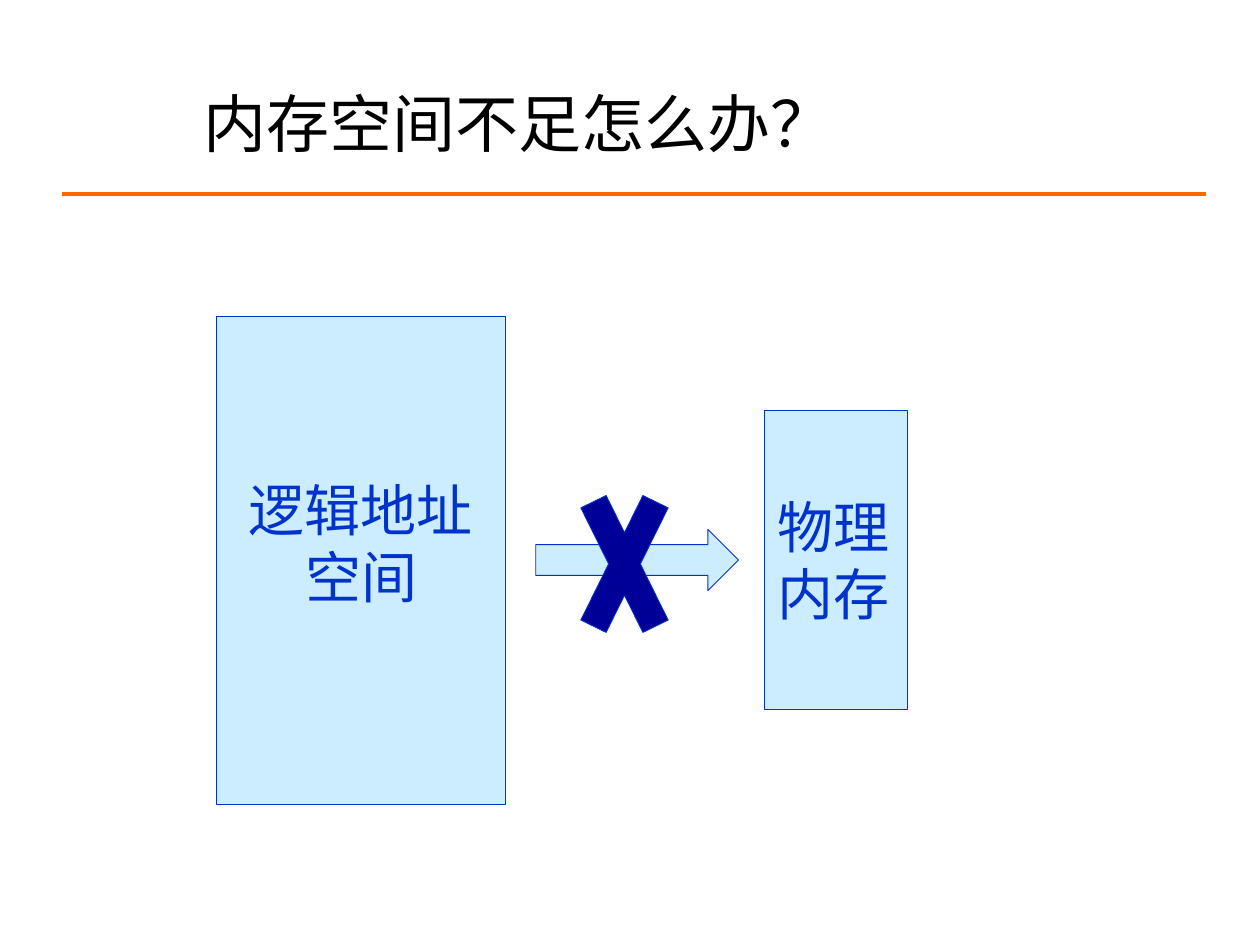
from lxml.etree import SubElement
from pptx import Presentation
from pptx.dml.color import RGBColor
from pptx.enum.shapes import MSO_CONNECTOR as Connector, MSO_SHAPE as Preset
from pptx.enum.text import MSO_ANCHOR as Anchor, PP_ALIGN as Align
from pptx.oxml.ns import qn
from pptx.util import Cm, Pt

BLACK = RGBColor(0x00, 0x00, 0x00)
ORANGE = RGBColor(0xFF, 0x66, 0x00)
BLUE = RGBColor(0x00, 0x33, 0xCC)
NAVY = RGBColor(0x00, 0x00, 0x99)
PALE_BLUE = RGBColor(0xCC, 0xEC, 0xFF)


class SlideBuilder:
    font_name = "Arial"
    outline = Pt(0.5)

    def __init__(self, slide):
        self.slide = slide
        self.shapes = slide.shapes

    def set_text(self, shape, text, size, color, align):
        frame = shape.text_frame
        frame.word_wrap = True
        frame.vertical_anchor = Anchor.MIDDLE
        paragraph = frame.paragraphs[0]
        paragraph.text = text
        paragraph.alignment = align
        paragraph.font.name = self.font_name
        paragraph.font.size = Pt(size)
        paragraph.font.color.rgb = color

    def paint(self, shape, fill):
        shape.shadow.inherit = False
        shape.fill.solid()
        shape.fill.fore_color.rgb = fill
        shape.line.color.rgb = BLUE
        shape.line.width = self.outline

    def title(self, text, left, top, width, height):
        box = self.shapes.add_textbox(Cm(left), Cm(top), Cm(width), Cm(height))
        self.set_text(box, text, 36, BLACK, Align.LEFT)

    def rule(self, left, right, y):
        connector = self.shapes.add_connector(
            Connector.STRAIGHT, Cm(left), Cm(y), Cm(right), Cm(y))
        connector.line.color.rgb = ORANGE
        connector.line.width = Pt(2.25)
        SubElement(connector.element.spPr, qn("a:effectLst"))

    def preset(self, kind, left, top, width, height):
        shape = self.shapes.add_shape(
            kind, Cm(left), Cm(top), Cm(width), Cm(height))
        self.paint(shape, PALE_BLUE)
        return shape

    def memory_block(self, text, left, top, width, height, align, lift=0):
        block = self.preset(Preset.RECTANGLE, left, top, width, height)
        self.set_text(block, text, 32, BLUE, align)
        block.text_frame.margin_bottom = Cm(0.13 + lift)

    def cross(self, center_x, center_y):
        inner_x, inner_y = 0.32, 0.63
        tip_x, tip_y = 0.88, 1.13
        end_x, end_y = 0.37, 1.38
        right_half = [(0, -inner_y), (end_x, -end_y), (tip_x, -tip_y),
                      (inner_x, 0), (tip_x, tip_y), (end_x, end_y)]
        outline = right_half + [(-x, -y) for x, y in right_half]
        points = [(Cm(center_x + x), Cm(center_y + y)) for x, y in outline]
        freeform = self.shapes.build_freeform(*points[0])
        freeform.add_line_segments(points[1:], close=True)
        self.paint(freeform.convert_to_shape(), NAVY)


def main():
    presentation = Presentation()
    presentation.slide_width = Cm(25.4)
    presentation.slide_height = Cm(19.05)
    slide = presentation.slides.add_slide(presentation.slide_layouts[6])
    builder = SlideBuilder(slide)
    builder.rule(1.25, 24.31, 3.91)
    builder.title("内存空间不足怎么办？", 3.86, 1.65, 18.44, 1.63)
    builder.memory_block("逻辑地址空间", 4.37, 6.38, 5.82, 9.83,
                         Align.CENTER, lift=0.7)
    builder.memory_block("物理内存", 15.42, 8.28, 2.87, 6.02, Align.LEFT)
    builder.preset(Preset.RIGHT_ARROW, 10.8, 10.67, 4.09, 1.24)
    builder.cross(12.59, 11.37)
    presentation.save("out.pptx")


if __name__ == "__main__":
    main()
